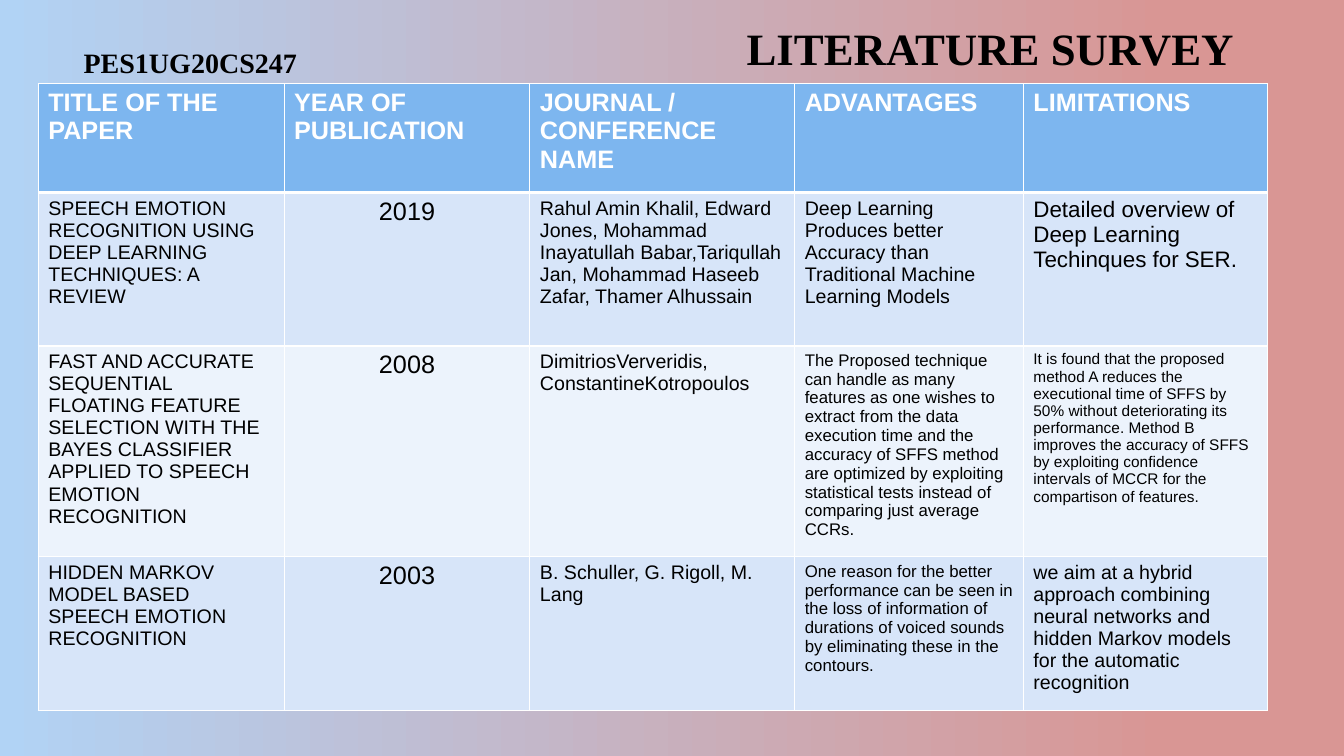
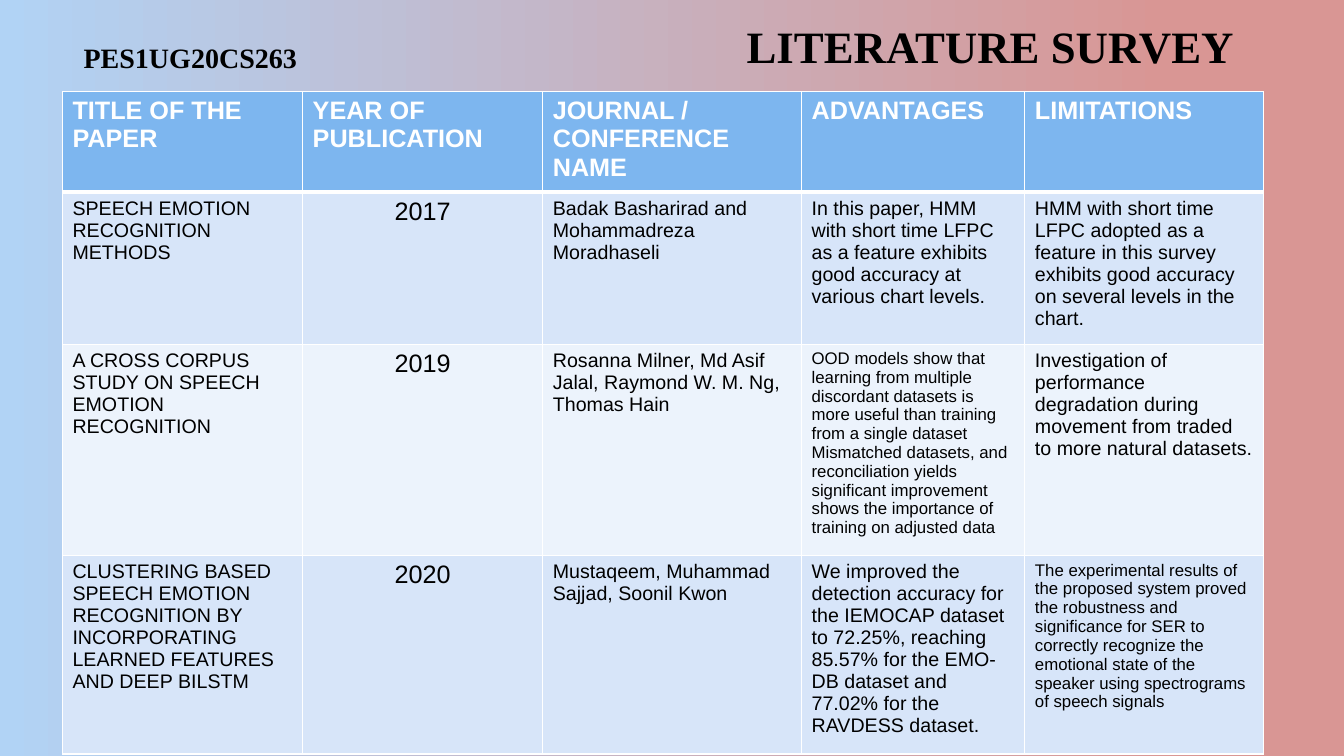
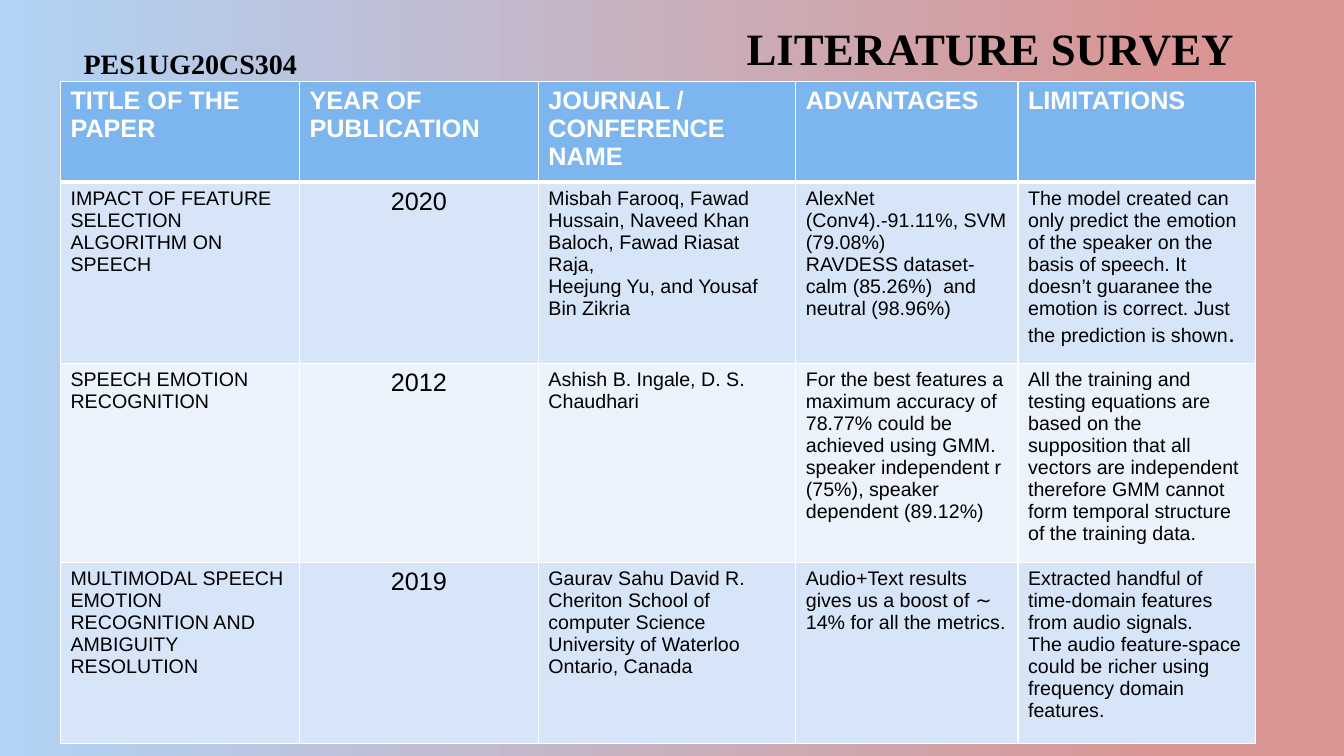
from lxml.etree import SubElement
from pptx import Presentation
from pptx.dml.color import RGBColor
from pptx.enum.text import MSO_ANCHOR as Anchor, PP_ALIGN as Align
from pptx.oxml.ns import qn
from pptx.util import Inches, Pt

BLACK = RGBColor(0x00, 0x00, 0x00)
WHITE = RGBColor(0xFF, 0xFF, 0xFF)
SKY = RGBColor(0xB1, 0xD3, 0xF5)
ROSE = RGBColor(0xD9, 0x96, 0x94)
HEADER_BLUE = RGBColor(0x7D, 0xB6, 0xEF)
BANDS = (RGBColor(0xD7, 0xE5, 0xF9), RGBColor(0xEC, 0xF3, 0xFC))

SERIF, SANS = "Times New Roman", "Arial"
TITLE = "LITERATURE SURVEY"
HEADERS = ("TITLE OF THE PAPER", "YEAR OF PUBLICATION", "JOURNAL / CONFERENCE NAME",
           "ADVANTAGES", "LIMITATIONS")
COLUMN_SHARES = (20, 20, 21.55, 18.6, 19.85)
YEAR_COLUMN = 1
HEADER_SIZE, YEAR_SIZE, BODY_SIZE = 18, 18, 14

SURVEYS = [
    {
        "student": "PES1UG20CS247", "title_top": 2.13, "student_top": 5.33,
        "corner": (2.85, 11.07), "width": 91.45, "rows": (14.4, 20.3, 27.9, 20.3),
        "papers": [
            ("SPEECH EMOTION RECOGNITION USING DEEP LEARNING TECHNIQUES: A REVIEW",
             "2019",
             "Rahul Amin Khalil, Edward Jones, Mohammad Inayatullah Babar,Tariqullah Jan, "
             "Mohammad Haseeb Zafar, Thamer Alhussain",
             "Deep Learning Produces better Accuracy than Traditional Machine Learning Models",
             "Detailed overview of Deep Learning Techinques for SER."),
            ("FAST AND ACCURATE SEQUENTIAL FLOATING FEATURE SELECTION WITH THE BAYES "
             "CLASSIFIER APPLIED TO SPEECH EMOTION RECOGNITION",
             "2008",
             "DimitriosVerveridis, ConstantineKotropoulos",
             "The Proposed technique can handle as many features as one wishes to extract "
             "from the data execution time and the accuracy of SFFS method are optimized by "
             "exploiting statistical tests instead of comparing just average CCRs.",
             "It is found that the proposed method A reduces the executional time of SFFS by "
             "50% without deteriorating its performance. Method B improves the accuracy of "
             "SFFS by exploiting confidence intervals of MCCR for the compartison of features."),
            ("HIDDEN MARKOV MODEL BASED SPEECH EMOTION RECOGNITION",
             "2003",
             "B. Schuller, G. Rigoll, M. Lang",
             "One reason for the better performance can be seen in the loss of information "
             "of durations of voiced sounds by eliminating these in the contours.",
             "we aim at a hybrid approach combining neural networks and hidden Markov models "
             "for the automatic recognition"),
        ],
        "sizes": {(1, 4): 16, (2, 3): 12, (2, 4): 11, (3, 3): 12},
    },
    {
        "student": "PES1UG20CS263", "title_top": 1.87, "student_top": 4.67,
        "corner": (4.65, 12.13), "width": 89.35, "rows": (13.3, 20.1, 28, 26.2),
        "papers": [
            ("SPEECH EMOTION RECOGNITION METHODS",
             "2017",
             "Badak Basharirad and Mohammadreza Moradhaseli",
             "In this paper, HMM with short time LFPC as a feature exhibits good accuracy at "
             "various chart levels.",
             "HMM with short time LFPC adopted as a feature in this survey exhibits good "
             "accuracy on several levels in the chart."),
            ("A CROSS CORPUS STUDY ON SPEECH EMOTION RECOGNITION",
             "2019",
             "Rosanna Milner, Md Asif Jalal, Raymond W. M. Ng, Thomas Hain",
             "OOD models show that learning from multiple discordant datasets is more useful "
             "than training from a single dataset Mismatched datasets, and reconciliation "
             "yields significant improvement shows the importance of training on adjusted data",
             "Investigation of performance degradation during movement from traded to more "
             "natural datasets."),
            ("CLUSTERING BASED SPEECH EMOTION RECOGNITION BY INCORPORATING LEARNED FEATURES "
             "AND DEEP BILSTM",
             "2020",
             "Mustaqeem, Muhammad Sajjad, Soonil Kwon",
             "We improved the detection accuracy for the IEMOCAP dataset to 72.25%, reaching "
             "85.57% for the EMO-DB dataset and 77.02% for the RAVDESS dataset.",
             "The experimental results of the proposed system proved the robustness and "
             "significance for SER to correctly recognize the emotional state of the speaker "
             "using spectrograms of speech signals"),
        ],
        "sizes": {(2, 3): 12, (3, 4): 12},
    },
    {
        "student": "PES1UG20CS304", "title_top": 2.13, "student_top": 5.47,
        "corner": (4.5, 10.8), "width": 88.9, "rows": (13.3, 24, 26.3, 24),
        "papers": [
            ("IMPACT OF FEATURE SELECTION ALGORITHM ON SPEECH",
             "2020",
             "Misbah Farooq, Fawad Hussain, Naveed Khan Baloch, Fawad Riasat Raja,\n"
             "Heejung Yu, and Yousaf Bin Zikria",
             "AlexNet (Conv4).-91.11%, SVM (79.08%)\n"
             "RAVDESS dataset- calm (85.26%)  and neutral (98.96%)",
             "The model created can only predict the emotion of the speaker on the basis of "
             "speech. It doesn’t guaranee the emotion is correct. Just the prediction is shown"),
            ("SPEECH EMOTION RECOGNITION",
             "2012",
             "Ashish B. Ingale, D. S. Chaudhari",
             "For the best features a maximum accuracy of 78.77% could be achieved using GMM.\n"
             "speaker independent r (75%), speaker dependent (89.12%)",
             "All the training and testing equations are based on the supposition that all "
             "vectors are independent therefore GMM cannot form temporal structure of the "
             "training data."),
            ("MULTIMODAL SPEECH EMOTION RECOGNITION AND AMBIGUITY RESOLUTION",
             "2019",
             "Gaurav Sahu David R. Cheriton School of computer Science University of Waterloo "
             "Ontario, Canada",
             "Audio+Text results gives us a boost of ∼ 14% for all the metrics.",
             "Extracted handful of time-domain features from audio signals.\n"
             "The audio feature-space could be richer using frequency domain features."),
        ],
        "sizes": {},
        "large_stop": (1, 4),
    },
]


class SurveyDeck:
    def __init__(self):
        self.deck = Presentation()
        self.deck.slide_width, self.deck.slide_height = Inches(13.33), Inches(7.5)
        self.page = None
        fill = self.deck.slide_master.background.fill
        fill.gradient()
        fill.gradient_angle = 0
        for stop, color, position in zip(fill.gradient_stops, (SKY, ROSE), (0, 0.87)):
            stop.color.rgb, stop.position = color, position

    def across(self, percent):
        return round(self.deck.slide_width * percent / 100)

    def down(self, percent):
        return round(self.deck.slide_height * percent / 100)

    def frame(self, left, top, width, height):
        return self.across(left), self.down(top), self.across(width), self.down(height)

    def add_page(self):
        self.page = self.deck.slides.add_slide(self.deck.slide_layouts[5])

    def set_text(self, text_frame, text, size, face, color, bold=False, align=Align.LEFT):
        text_frame.text = text
        text_frame.word_wrap = True
        for para in text_frame.paragraphs:
            para.alignment = align
            font = para.font
            font.size, font.name, font.bold = Pt(size), face, bold
            font.color.rgb = color

    def title(self, text, top):
        box = self.page.shapes.title
        box.left, box.top, box.width, box.height = self.frame(42.3, top, 50.27, 8.53)
        box.text_frame.vertical_anchor = Anchor.TOP
        self.set_text(box.text_frame, text, 32, SERIF, BLACK, True, Align.RIGHT)

    def student(self, text, top):
        box = self.page.shapes.add_textbox(*self.frame(5.48, top, 26.25, 5.87))
        self.set_text(box.text_frame, text, 20, SERIF, BLACK, True)

    def border(self, cell, bottom):
        properties = cell._tc.get_or_add_tcPr()
        for side, points in (("L", 1), ("R", 1), ("T", 1), ("B", bottom)):
            line = SubElement(properties, qn(f"a:ln{side}"), w=str(Pt(points)))
            SubElement(SubElement(line, qn("a:solidFill")), qn("a:srgbClr"), val=str(WHITE))

    def cell(self, cell, text, size, fill, color=BLACK, bold=False, align=Align.LEFT, bottom=1):
        self.set_text(cell.text_frame, text, size, SANS, color, bold, align)
        self.border(cell, bottom)
        cell.fill.solid()
        cell.fill.fore_color.rgb = fill

    def table(self, corner, width, rows, papers, sizes):
        shape = self.page.shapes.add_table(
            len(rows), len(HEADERS), *self.frame(*corner, width, sum(rows)))
        table = shape.table
        for column, share in zip(table.columns, COLUMN_SHARES):
            column.width = self.across(width * share / 100)
        for row, height in zip(table.rows, rows):
            row.height = self.down(height)
        for x, header in enumerate(HEADERS):
            self.cell(table.cell(0, x), header, HEADER_SIZE, HEADER_BLUE, WHITE, True, bottom=3)
        for y, paper in enumerate(papers, 1):
            for x, text in enumerate(paper):
                is_year = x == YEAR_COLUMN
                size = YEAR_SIZE if is_year else sizes.get((y, x), BODY_SIZE)
                align = Align.CENTER if is_year else Align.LEFT
                self.cell(table.cell(y, x), text, size, BANDS[(y - 1) % 2], align=align)
        return table

    def large_stop(self, cell):
        span = cell.text_frame.paragraphs[-1].add_run()
        span.text = "."
        span.font.size = Pt(18)

    def survey(self, survey):
        self.add_page()
        self.title(TITLE, survey["title_top"])
        table = self.table(survey["corner"], survey["width"], survey["rows"],
                           survey["papers"], survey["sizes"])
        if "large_stop" in survey:
            self.large_stop(table.cell(*survey["large_stop"]))
        self.student(survey["student"], survey["student_top"])


def main():
    builder = SurveyDeck()
    for survey in SURVEYS:
        builder.survey(survey)
    builder.deck.save("out.pptx")


if __name__ == "__main__":
    main()
